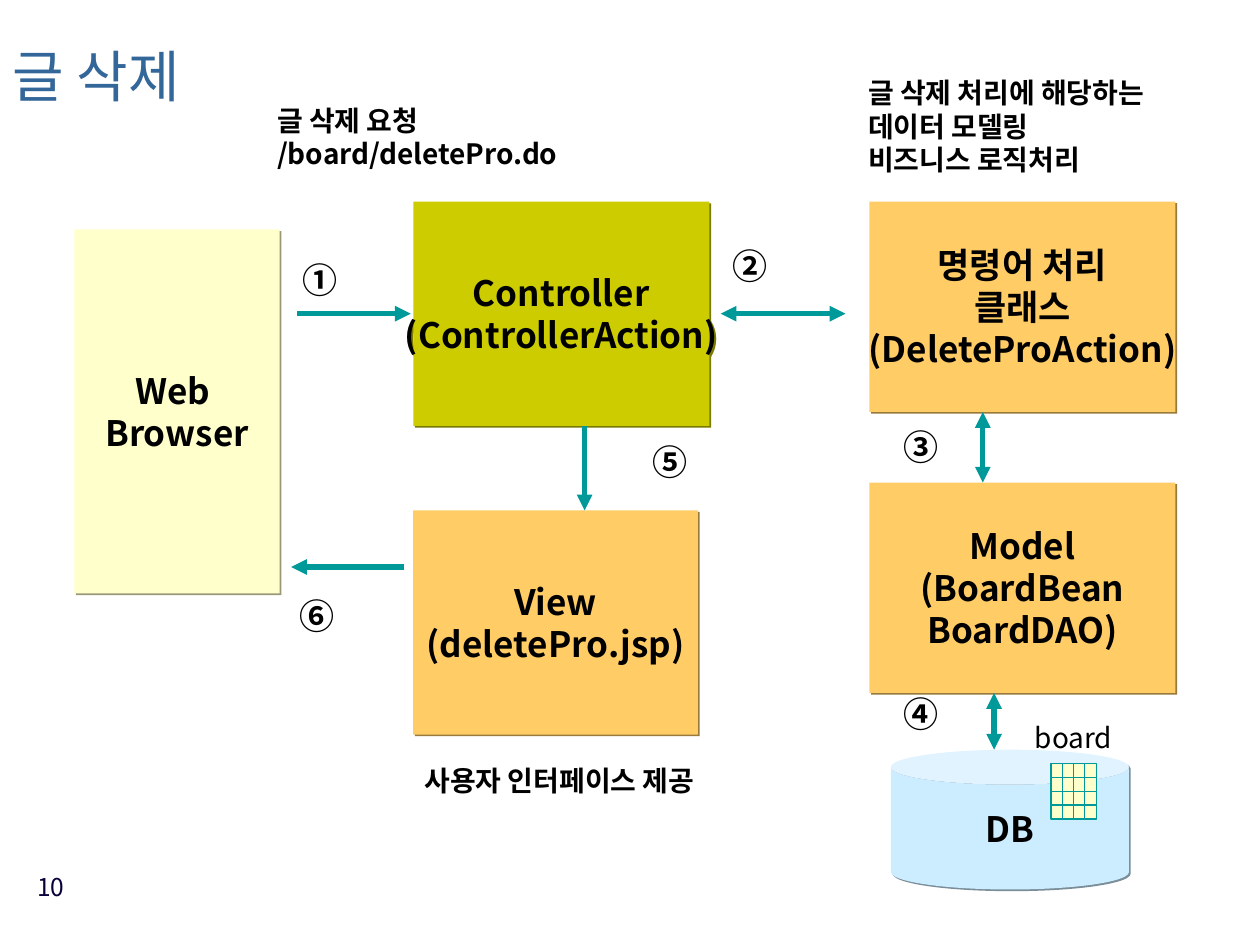
"""Build the slide showing how a post is deleted in a model-view-controller board."""
from dataclasses import dataclass
from itertools import product

from lxml.etree import SubElement
from pptx import Presentation
from pptx.dml.color import RGBColor
from pptx.enum.shapes import MSO_CONNECTOR, MSO_SHAPE
from pptx.enum.text import MSO_ANCHOR, MSO_AUTO_SIZE, PP_ALIGN
from pptx.oxml.ns import qn
from pptx.util import Inches, Pt


@dataclass(frozen=True)
class Theme:
    font: str = "Noto Sans CJK KR"
    ink: str = "010000"
    title: str = "336699"
    number: str = "08003A"
    teal: str = "009999"
    cream: str = "FFFFCC"
    orange: str = "FFCC66"
    olive: str = "CCCC00"
    sky: str = "CCECFF"
    title_size: int = 32
    box_size: int = 20
    note_size: int = 16
    number_size: int = 14


@dataclass(frozen=True)
class Frame:
    left: float
    top: float
    width: float
    height: float

    def lengths(self):
        return [Inches(side) for side in (self.left, self.top, self.width, self.height)]


@dataclass(frozen=True)
class Block:
    text: str
    frame: Frame
    fill: str
    shadow: str
    kind: MSO_SHAPE = MSO_SHAPE.RECTANGLE


@dataclass(frozen=True)
class Arrow:
    start: tuple[float, float]
    end: tuple[float, float]
    both: bool = False


@dataclass(frozen=True)
class Label:
    text: str
    frame: Frame
    size: int = Theme.note_size
    color: str = Theme.ink
    bold: bool = True
    before: float = 0
    align: PP_ALIGN = PP_ALIGN.LEFT
    inset: tuple[float, float] = (0, 0)


THEME = Theme()

BLOCKS = [
    Block("Web \nBrowser", Frame(0.59, 1.82, 1.63, 2.89), THEME.cream, "99997A"),
    Block("View\n(deletePro.jsp)", Frame(3.28, 4.05, 2.26, 1.78), THEME.orange, "997A3D"),
    Block("Controller\n(ControllerAction)", Frame(3.28, 1.6, 2.35, 1.78), THEME.olive, "7A7A00"),
    Block("Model\n(BoardBean\nBoardDAO)", Frame(6.9, 3.83, 2.43, 1.67), THEME.orange, "997A3D"),
    Block("명령어 처리\n클래스\n(DeleteProAction)", Frame(6.9, 1.6, 2.43, 1.67), THEME.orange, "997A3D"),
    Block("DB", Frame(7.07, 5.95, 1.89, 1.11), THEME.sky, "7A8E99", MSO_SHAPE.CAN),
]

ARROWS = [
    Arrow((2.36, 2.49), (3.26, 2.49)),
    Arrow((5.72, 2.49), (6.71, 2.49), both=True),
    Arrow((7.8, 3.27), (7.8, 3.83), both=True),
    Arrow((7.89, 5.5), (7.89, 5.95), both=True),
    Arrow((4.64, 3.38), (4.64, 4.05)),
    Arrow((3.21, 4.5), (2.31, 4.5)),
]

STEPS = [
    Label(sign, Frame(left, top, 0.45, 0.33), THEME.box_size, before=12.5)
    for sign, left, top in [
        ("①", 2.4, 2.05), ("②", 5.81, 1.94), ("③", 7.17, 3.38),
        ("④", 7.17, 5.5), ("⑤", 5.18, 3.5), ("⑥", 2.38, 4.72),
    ]
]

NOTES = [
    Label("글 삭제 요청 /board/deletePro.do", Frame(2.2, 0.82, 2.62, 0.53)),
    Label("글 삭제 처리에 해당하는 데이터 모델링\n비즈니스 로직처리", Frame(6.89, 0.6, 2.44, 0.8)),
    Label("사용자 인터페이스 제공", Frame(3.37, 6.06, 2.71, 0.27)),
    Label("board", Frame(8.16, 5.72, 0.72, 0.27), bold=False, before=10, align=PP_ALIGN.CENTER),
    Label("10", Frame(0.14, 6.87, 0.47, 0.52), THEME.number_size, THEME.number,
          bold=False, align=PP_ALIGN.RIGHT, inset=(0.1, 0.05)),
]


def write(box, text: str, size: int, color: str, bold: bool, align: PP_ALIGN, before: float = 0) -> None:
    box.text_frame.text = text
    for para in box.text_frame.paragraphs:
        para.alignment = align
        para.space_before = Pt(before)
        for span in para.runs:
            span.font.size = Pt(size)
            span.font.bold = bold
            span.font.color.rgb = RGBColor.from_string(color)
            span.font.name = THEME.font
            SubElement(span.font._element, qn("a:ea"), typeface=THEME.font)


def set_inset(box, across: float, down: float) -> None:
    frame = box.text_frame
    frame.margin_left = frame.margin_right = Inches(across)
    frame.margin_top = frame.margin_bottom = Inches(down)


def add_filled(page, kind: MSO_SHAPE, frame: Frame, fill: str):
    box = page.shapes.add_shape(kind, *frame.lengths())
    box.shadow.inherit = False
    box.fill.solid()
    box.fill.fore_color.rgb = RGBColor.from_string(fill)
    box.line.fill.background()
    return box


def add_block(page, block: Block) -> None:
    box = add_filled(page, block.kind, block.frame, block.fill)
    effects = box._element.spPr.find(qn("a:effectLst"))
    shadow = SubElement(effects, qn("a:outerShdw"), dist=str(Pt(1.4)), dir="2700000",
                        algn="ctr", rotWithShape="0")
    SubElement(shadow, qn("a:srgbClr"), val=block.shadow)
    write(box, block.text, THEME.box_size, THEME.ink, True, PP_ALIGN.CENTER)
    box.text_frame.word_wrap = False
    box.text_frame.vertical_anchor = MSO_ANCHOR.MIDDLE


def add_arrow(page, arrow: Arrow) -> None:
    points = [Inches(value) for value in (*arrow.start, *arrow.end)]
    link = page.shapes.add_connector(MSO_CONNECTOR.STRAIGHT, *points)
    link.line.color.rgb = RGBColor.from_string(THEME.teal)
    link.line.width = Pt(3)
    line = link.line._get_or_add_ln()
    for tip in ("a:headEnd", "a:tailEnd") if arrow.both else ("a:tailEnd",):
        SubElement(line, qn(tip), type="triangle")
    SubElement(link._element.spPr, qn("a:effectLst"))


def add_label(page, label: Label) -> None:
    box = page.shapes.add_textbox(*label.frame.lengths())
    box.text_frame.word_wrap = True
    set_inset(box, *label.inset)
    write(box, label.text, label.size, label.color, label.bold, label.align, label.before)


def add_board_grid(page, left: float, top: float, width: float, height: float) -> None:
    for row, column in product(range(4), repeat=2):
        frame = Frame(left + column * width, top + row * height, width, height)
        cell = add_filled(page, MSO_SHAPE.RECTANGLE, frame, THEME.cream)
        cell.line.color.rgb = RGBColor.from_string(THEME.teal)
        cell.line.width = Pt(0.74)


def set_title(page, text: str, frame: Frame) -> None:
    title = page.shapes.title
    title.left, title.top, title.width, title.height = frame.lengths()
    write(title, text, THEME.title_size, THEME.title, False, PP_ALIGN.LEFT)
    set_inset(title, 0.1, 0.05)
    title.text_frame.auto_size = MSO_AUTO_SIZE.NONE
    title.text_frame.vertical_anchor = MSO_ANCHOR.MIDDLE
    title.text_frame.paragraphs[0].line_spacing = 0.7


def main() -> None:
    deck = Presentation()
    deck.slide_width, deck.slide_height = Inches(10), Inches(7.5)
    page = deck.slides.add_slide(deck.slide_layouts[5])
    set_title(page, "글 삭제", Frame(0, 0.21, 6.42, 0.9))
    for block in BLOCKS:
        add_block(page, block)
    for arrow in ARROWS:
        add_arrow(page, arrow)
    for label in STEPS + NOTES:
        add_label(page, label)
    add_board_grid(page, 8.34, 6.06, 0.09, 0.11)
    deck.save("out.pptx")


main()
